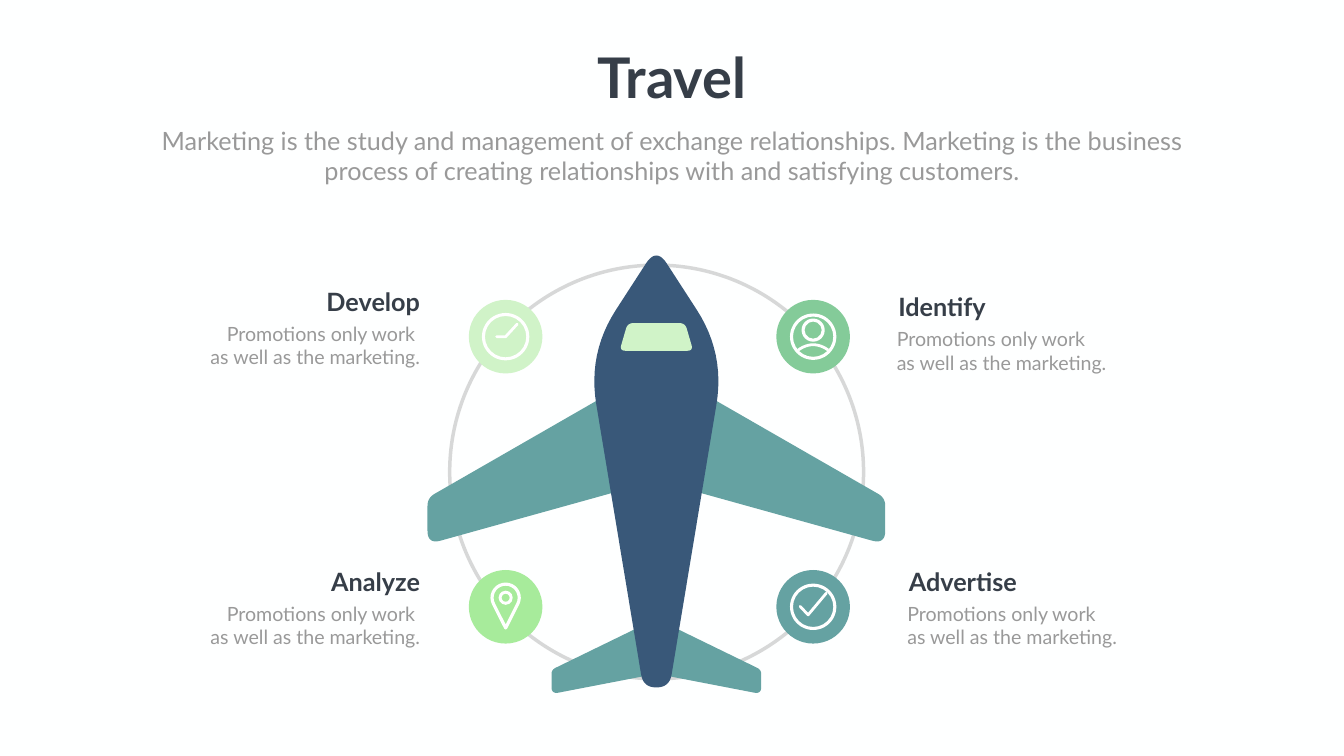
from collections import namedtuple
from math import cos, dist, radians, sin

from lxml.etree import SubElement
from pptx import Presentation
from pptx.dml.color import RGBColor
from pptx.enum.shapes import MSO_SHAPE as Shape
from pptx.enum.text import MSO_ANCHOR as Anchor, MSO_AUTO_SIZE as AutoSize, PP_ALIGN as Align
from pptx.oxml.ns import qn
from pptx.util import Inches, Pt

Box = namedtuple("Box", "left top width height")

BACKGROUND = RGBColor(0xFE, 0xFF, 0xFF)
WHITE = RGBColor(0xFF, 0xFF, 0xFF)
DARK = RGBColor(0x36, 0x3E, 0x48)
GRAY = RGBColor(0x99, 0x99, 0x99)
RING_GRAY = RGBColor(0x80, 0x80, 0x80)
TEAL = RGBColor(0x65, 0xA2, 0xA2)
NAVY = RGBColor(0x39, 0x58, 0x79)
PALE_GREEN = RGBColor(0xD0, 0xF3, 0xC8)
GREEN = RGBColor(0x84, 0xCB, 0x99)
LIGHT_GREEN = RGBColor(0xA7, 0xEB, 0x9B)

FUSELAGE = [(0, -0.16, 0.38), (1.36, 1.94, 1.03), (0.26, 8.57, 0.26),
            (-0.26, 8.57, 0.26), (-1.36, 1.94, 1.03)]
WING = [(0.73, 2.62, 0.38), (4.54, 4.81, 0.16), (4.54, 5.73, 0.27), (0.73, 4.67, 0.2)]
TAIL = [(0.11, 7.26, 0.17), (2.08, 8.22, 0.09), (2.08, 8.7, 0.14), (0.11, 8.32, 0.1)]
WINDOW = [(-0.57, 1.34, 0.12), (0.57, 1.34, 0.12), (0.73, 1.89, 0.12), (-0.73, 1.89, 0.12)]


def paint(shape, fill=None, line=None, width=4.5):
    """Give a shape a flat fill and outline without a shadow."""
    shape.shadow.inherit = False
    if fill is None:
        shape.fill.background()
    else:
        shape.fill.solid()
        shape.fill.fore_color.rgb = fill
    if line is None:
        shape.line.fill.background()
    else:
        shape.line.color.rgb = line
        shape.line.width = Pt(width)
    return shape


def write_text(shape, box, lines, size, color, bold=False, align=Align.LEFT, wrap=True):
    """Place a text shape and write one formatted paragraph per line."""
    shape.left, shape.top, shape.width, shape.height = map(Inches, box)
    frame = shape.text_frame
    frame.text = "\n".join(lines)
    frame.word_wrap = wrap
    frame.auto_size = AutoSize.SHAPE_TO_FIT_TEXT
    frame.vertical_anchor = Anchor.TOP
    for paragraph in frame.paragraphs:
        paragraph.alignment = align
        paragraph.space_before = Pt(0)
        font = paragraph.font
        font.name, font.size, font.bold = "Lato", Pt(size), bold
        font.color.rgb = color


def curve(start, control, end, steps=12):
    """Return points along a quadratic curve."""
    return [tuple((1 - t) ** 2 * a + 2 * t * (1 - t) * b + t * t * c
                  for a, b, c in zip(start, control, end))
            for t in (step / steps for step in range(steps + 1))]


def rounded(corners):
    """Return the outline of a polygon whose corners are (x, y, cut)."""
    def toward(corner, other):
        """Return the point at the cut distance on the way to another corner."""
        share = corner[2] / dist(corner[:2], other[:2])
        return tuple(a + (b - a) * share for a, b in zip(corner[:2], other[:2]))

    points = []
    for index, corner in enumerate(corners):
        following = corners[(index + 1) % len(corners)]
        points += curve(toward(corner, corners[index - 1]), corner[:2], toward(corner, following))
    return points


def add_outline(shapes, x, y, points, close=True, **style):
    """Draw points measured from x, y as a freeform."""
    points = [(Inches(x + dx), Inches(y + dy)) for dx, dy in points]
    builder = shapes.build_freeform(*points[0])
    builder.add_line_segments(points[1:], close=close)
    return paint(builder.convert_to_shape(), **style)


def add_round(shapes, x, y, radius, kind=Shape.OVAL, **style):
    """Draw a circular shape around a centre."""
    return paint(shapes.add_shape(kind, Inches(x - radius), Inches(y - radius),
                                  Inches(2 * radius), Inches(2 * radius)), **style)


def add_hoop(shapes, x, y, radius, thickness=0.06):
    """Draw a white ring around a centre."""
    hoop = add_round(shapes, x, y, radius, Shape.DONUT, fill=WHITE)
    hoop.adjustments[0] = thickness / (2 * radius)


def add_stroke(shapes, x, y, points, width=4, close=False):
    """Draw a white line with round ends."""
    stroke = add_outline(shapes, x, y, points, close, line=WHITE, width=width)
    stroke.line._get_or_add_ln().set("cap", "rnd")


def draw_person(shapes, x, y):
    """Draw the person icon."""
    add_hoop(shapes, x, y, 0.46)
    add_stroke(shapes, x, y, curve((-0.29, 0.26), (0, 0.06), (0.29, 0.26)))
    add_hoop(shapes, x, y - 0.13, 0.23)


def draw_clock(shapes, x, y):
    """Draw the clock icon."""
    add_hoop(shapes, x, y, 0.47)
    add_stroke(shapes, x, y, [(-0.18, 0), (0, 0), (0.23, -0.25)])


def draw_check(shapes, x, y):
    """Draw the check mark icon."""
    add_hoop(shapes, x, y, 0.46)
    add_stroke(shapes, x, y, [(-0.26, -0.01), (-0.1, 0.16), (0.26, -0.27)])


def draw_pin(shapes, x, y):
    """Draw the map pin icon."""
    arc = [(0.27 * cos(radians(angle)), -0.18 - 0.27 * sin(radians(angle)))
           for angle in range(-27, 208, 13)]
    add_stroke(shapes, x, y, arc + [(0, 0.42)], width=4.5, close=True)
    add_hoop(shapes, x, y - 0.18, 0.14)


def add_heading(slide, box):
    """Fill the title and subtitle placeholders."""
    write_text(slide.shapes.title, Box(box.left + 8.97, box.top, 3.36, 1.45), ["Travel"],
               80, DARK, bold=True, align=Align.CENTER, wrap=False)
    write_text(slide.placeholders[1], Box(box.left, box.top + 1.65, box.width, 1.31),
               ["Marketing is the study and management of exchange relationships. Marketing is "
                "the business process of creating relationships with and satisfying customers."],
               36, GRAY, align=Align.CENTER)


def add_ring(shapes, box):
    """Draw the translucent ring behind the plane."""
    radius = box.width / 2
    ring = add_round(shapes, box.left + radius, box.top + radius, radius, line=RING_GRAY, width=5)
    color = ring.line._get_or_add_ln().find(".//" + qn("a:srgbClr"))
    SubElement(color, qn("a:alpha"), val="30000")


def add_plane(shapes, box):
    """Draw the plane around the middle of its box."""
    middle = box.left + box.width / 2
    for part in (WING, TAIL):
        for side in (1, -1):
            outline = [(side * x, y) for x, y in rounded(part)]
            add_outline(shapes, middle, box.top, outline, fill=TEAL)
    for part, color in ((FUSELAGE, NAVY), (WINDOW, PALE_GREEN)):
        add_outline(shapes, middle, box.top, rounded(part), fill=color)


def add_badge(shapes, box, color, draw_icon):
    """Draw a coloured disc with its icon."""
    radius = box.width / 2
    x, y = box.left + radius, box.top + radius
    add_round(shapes, x, y, radius, fill=color)
    draw_icon(shapes, x, y)


def add_callout(shapes, box, heading, lines, align):
    """Write a heading with its description as a group."""
    group = shapes.add_group_shape().shapes
    shift = box.width - 2.61 if align == Align.RIGHT else 0.03
    parts = [(Box(box.left + shift, box.top, 2.61, 0.71), [heading], 36, DARK, True),
             (Box(box.left, box.top + 0.7, box.width, 1.04), lines, 28, GRAY, False)]
    for place, text, size, color, bold in parts:
        write_text(group.add_textbox(0, 0, 0, 0), place, text, size, color, bold, align)


def main():
    """Build and save the travel slide."""
    presentation = Presentation()
    presentation.slide_width, presentation.slide_height = Inches(26.66), Inches(15)
    slide = presentation.slides.add_slide(presentation.slide_layouts[0])
    slide.background.fill.solid()
    slide.background.fill.fore_color.rgb = BACKGROUND
    shapes = slide.shapes

    add_heading(slide, Box(2.68, 0.79, 21.3, 2.96))
    add_ring(shapes, Box(8.92, 5.26, 8.21, 8.21))
    add_plane(shapes, Box(8.48, 5.07, 9.08, 8.69))

    features = [
        ("Develop", 9.3, 5.95, PALE_GREEN, draw_clock, 3.49, 5.63, Align.RIGHT),
        ("Analyze", 9.3, 11.31, LIGHT_GREEN, draw_pin, 3.49, 11.19, Align.RIGHT),
        ("Identify", 15.4, 5.95, GREEN, draw_person, 17.69, 5.74, Align.LEFT),
        ("Advertise", 15.4, 11.31, TEAL, draw_check, 17.9, 11.19, Align.LEFT),
    ]
    for heading, badge_left, badge_top, color, icon, left, top, align in features:
        add_badge(shapes, Box(badge_left, badge_top, 1.46, 1.46), color, icon)
        first_line = "Promotions only work" + (" " if align == Align.RIGHT else "")
        add_callout(shapes, Box(left, top, 4.94, 1.74), heading,
                    [first_line, "as well as the marketing."], align)
    presentation.save("out.pptx")


if __name__ == "__main__":
    main()
